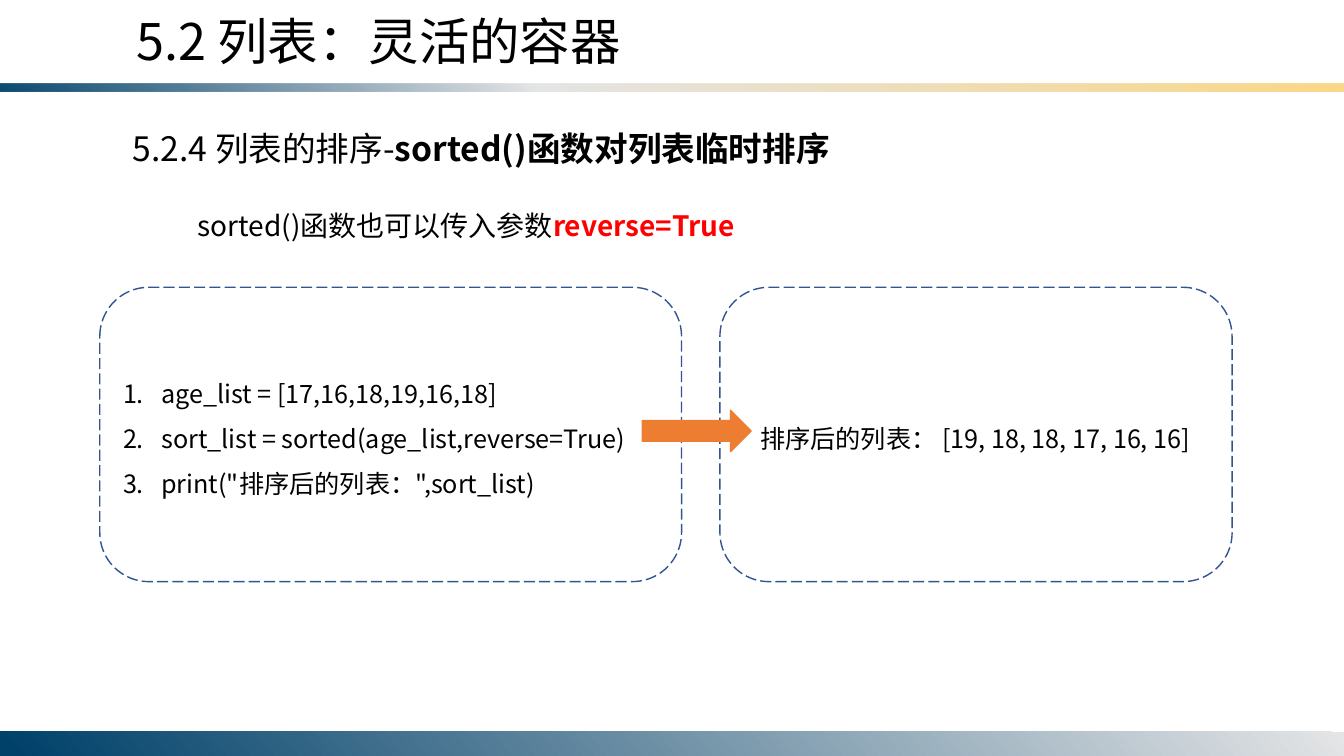
from dataclasses import dataclass

from lxml import etree
from pptx import Presentation
from pptx.dml.color import RGBColor
from pptx.enum.dml import MSO_LINE
from pptx.enum.shapes import MSO_SHAPE as Preset
from pptx.enum.text import MSO_ANCHOR as Anchor
from pptx.enum.text import MSO_AUTO_SIZE as AutoSize
from pptx.enum.text import PP_ALIGN as Align
from pptx.oxml.ns import qn
from pptx.util import Inches, Pt


@dataclass(frozen=True)
class Theme:
    """Colours, typeface and type sizes of the slide."""
    font: str = "Noto Sans CJK SC"
    ink: str = "000000"
    accent: str = "FF0000"
    outline: str = "325491"
    arrow: str = "ED7D31"
    navy: str = "00416A"
    mist: str = "E4E5E6"
    sand: str = "FBD786"
    title: int = 36
    heading: int = 24
    note: int = 20
    code: int = 18


THEME = Theme()
PANEL_TOP, PANEL_HEIGHT = 2.85, 2.92


def place(shape, box):
    """Move a shape to a left, top, width, height box in inches."""
    for side, length in zip(("left", "top", "width", "height"), box):
        setattr(shape, side, Inches(length))


def write(paragraph, size, *pieces, **layout):
    """Fill a paragraph with (text, font values) pieces."""
    for key, value in {"alignment": Align.LEFT, "space_before": Pt(0), **layout}.items():
        setattr(paragraph, key, value)
    for words, look in pieces:
        run = paragraph.add_run()
        run.text = words
        values = {"size": Pt(size), "name": THEME.font, "bold": look.get("bold", False)}
        for key, value in values.items():
            setattr(run.font, key, value)
        run.font.color.rgb = RGBColor.from_string(look.get("color", THEME.ink))
        east_asian = etree.SubElement(run._r.get_or_add_rPr(), qn("a:ea"))
        east_asian.set("typeface", THEME.font)


def prepare(shape, box):
    """Place a text holder and return its wrapped, top-anchored frame."""
    place(shape, box)
    frame = shape.text_frame
    values = {"word_wrap": True, "vertical_anchor": Anchor.TOP,
              "auto_size": AutoSize.SHAPE_TO_FIT_TEXT}
    for key, value in values.items():
        setattr(frame, key, value)
    return frame


def text_line(slide, box, size, *pieces, **layout):
    """Add a one-paragraph text box."""
    holder = slide.shapes.add_textbox(*map(Inches, box))
    write(prepare(holder, box).paragraphs[0], size, *pieces, **layout)


def indent(paragraph, left, first):
    """Set the left margin and first-line indent in inches."""
    properties = paragraph._p.get_or_add_pPr()
    properties.set("marL", str(Inches(left)))
    properties.set("indent", str(Inches(first)))
    return properties


def gradient_bar(slide, box, angle, stops, flipped=False):
    """Draw a borderless band with a linear gradient."""
    bar = slide.shapes.add_shape(Preset.RECTANGLE, *map(Inches, box))
    bar.shadow.inherit = False
    bar.line.fill.background()
    bar.fill.background()
    properties = bar._element.spPr
    if flipped:
        properties.find(qn("a:xfrm")).set("flipV", "1")
    gradient = etree.Element(qn("a:gradFill"), rotWithShape="1")
    stop_list = etree.SubElement(gradient, qn("a:gsLst"))
    for position, color, opacity in stops:
        stop = etree.SubElement(stop_list, qn("a:gs"), pos=str(position * 1000))
        tint = etree.SubElement(stop, qn("a:srgbClr"), val=color)
        if opacity < 100:
            etree.SubElement(tint, qn("a:alpha"), val=str(opacity * 1000))
    etree.SubElement(gradient, qn("a:lin"), ang=str(angle * 60000), scaled="0")
    properties.replace(properties.find(qn("a:noFill")), gradient)


def header(slide, box):
    """Write the chapter title and draw the band below it."""
    left, top, width, height = box
    title = prepare(slide.shapes.title, (left + 1.25, top + 0.05, 6.12, 0.71))
    write(title.paragraphs[0], THEME.title, ("5.2 列表：灵活的容器", {}))
    gradient_bar(slide, (left, top + height - 0.08, width, 0.08), 50,
                 [(0, THEME.navy, 95), (40, THEME.mist, 100), (100, THEME.sand, 100)],
                 flipped=True)


def introduction(slide, box):
    """Write the section heading and the note on the parameter."""
    left, top, width, height = box
    text_line(slide, (left, top, 8.25, 0.5), THEME.heading,
              ("5.2.4 列表的排序-", {}), ("sorted()函数对列表临时排序", {"bold": True}))
    note = slide.shapes.add_textbox(0, 0, 0, 0)
    frame = prepare(note, (left + 0.08, top + height - 0.6, width - 0.08, 0.6))
    indent(frame.paragraphs[0], 0, 0.56)
    write(frame.paragraphs[0], THEME.note, ("sorted()函数也可以传入参数", {}),
          ("reverse=True", {"bold": True, "color": THEME.accent}), line_spacing=1.5)


def panel(slide, box):
    """Draw a rounded dashed outline."""
    frame = slide.shapes.add_shape(Preset.ROUNDED_RECTANGLE, *map(Inches, box))
    frame.shadow.inherit = False
    frame.fill.background()
    frame.line.color.rgb = RGBColor.from_string(THEME.outline)
    frame.line.width = Pt(1)
    frame.line.dash_style = MSO_LINE.LONG_DASH


def code_panel(slide, box):
    """Place the numbered code lines in their panel."""
    left, top, width, height = box
    panel(slide, box)
    body = prepare(slide.placeholders[1], (left + 0.13, top + 0.7, width - 0.25, height / 2))
    statements = ["age_list = [17,16,18,19,16,18]",
                  "sort_list = sorted(age_list,reverse=True)",
                  'print("排序后的列表：",sort_list)']
    for number, statement in enumerate(statements):
        line = body.add_paragraph() if number else body.paragraphs[0]
        properties = indent(line, 0.38, -0.38)
        etree.SubElement(properties, qn("a:buFont"), typeface="+mj-lt")
        etree.SubElement(properties, qn("a:buAutoNum"), type="arabicPeriod")
        write(line, THEME.code, (statement, {}), line_spacing=1.5)


def result_panel(slide, box):
    """Place the printed result in its panel with the arrow leading in."""
    left, top, width, height = box
    panel(slide, box)
    text_line(slide, (left + 0.3, top + 1.15, width - 0.5, 0.55), THEME.code,
              ("排序后的列表： [19, 18, 18, 17, 16, 16]", {}), line_spacing=1.5)
    arrow = slide.shapes.add_shape(
        Preset.RIGHT_ARROW, *map(Inches, (left - 0.77, top + 1.22, 1.08, 0.41)))
    arrow.shadow.inherit = False
    arrow.fill.solid()
    arrow.line.width = Pt(1)
    for color in (arrow.fill.fore_color, arrow.line.color):
        color.rgb = RGBColor.from_string(THEME.arrow)


def main():
    """Build and save the slide."""
    deck = Presentation()
    deck.slide_width, deck.slide_height = Inches(13.33), Inches(7.5)
    slide = deck.slides.add_slide(deck.slide_layouts[1])
    header(slide, (0, 0, 13.33, 0.91))
    gradient_bar(slide, (0, 7.26, 13.33, 0.24), 140,
                 [(0, THEME.mist, 100), (99, THEME.navy, 100)])
    introduction(slide, (1.22, 1.22, 11.29, 1.23))
    code_panel(slide, (0.99, PANEL_TOP, 5.77, PANEL_HEIGHT))
    result_panel(slide, (7.14, PANEL_TOP, 5.08, PANEL_HEIGHT))
    deck.save("out.pptx")


if __name__ == "__main__":
    main()
